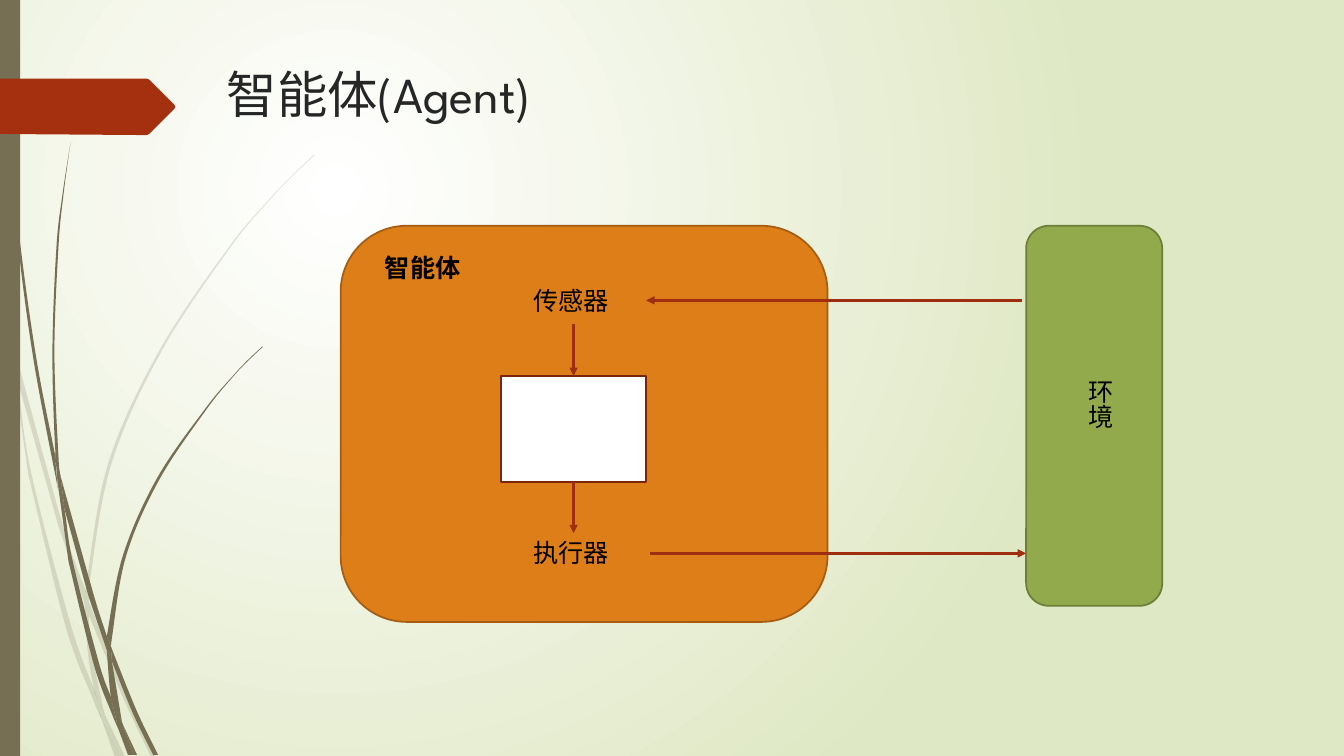
from lxml.etree import SubElement
from pptx import Presentation
from pptx.dml.color import RGBColor
from pptx.enum.shapes import MSO_CONNECTOR as Connector, MSO_SHAPE as Shape
from pptx.enum.text import MSO_AUTO_SIZE as AutoSize, MSO_ANCHOR as Anchor
from pptx.oxml.ns import qn
from pptx.util import Cm, Pt

BLACK = RGBColor(0x00, 0x00, 0x00)
WHITE = RGBColor(0xFF, 0xFF, 0xFF)
INK = RGBColor(0x26, 0x26, 0x26)
PALE_GREEN = RGBColor(0xDF, 0xE8, 0xC4)
OLIVE = RGBColor(0x76, 0x6F, 0x54)
RED = RGBColor(0xA5, 0x30, 0x10)
ARROW_RED = RGBColor(0x9E, 0x2E, 0x0F)
DARK_RED = RGBColor(0x7A, 0x24, 0x0C)
ORANGE = RGBColor(0xDE, 0x7E, 0x18)
DARK_ORANGE = RGBColor(0xA4, 0x5D, 0x12)
GREEN = RGBColor(0x92, 0xAA, 0x4C)
DARK_GREEN = RGBColor(0x6C, 0x7E, 0x38)
FONT = "League Spartan"
CM_PER_INCH = 2.54

PALE_BLADES = [
    ([(0.11, 3.5), (0.09, 3.22), (0, 2.82)], [(0, 2.99), (0.1, 3.44)]),
    ([(0.58, 5.22), (0.84, 5.99)],
     [(0.85, 5.86), (0.62, 5.2), (0.14, 3.45)], [(0.17, 3.76), (0.58, 5.22)]),
    ([(0.92, 6.07), (0.88, 5.96)], [(0.88, 6.1), (1.23, 6.94), (1.5, 7.51)],
     [(1.55, 7.51), (1.27, 6.92), (0.92, 6.07)]),
    ([(1.19, 7.51), (1.24, 7.51)], [(1.05, 7.11)]),
    ([(0.93, 6.83), (0.7, 6.19), (0.31, 4.69), (0.17, 3.76), (0.11, 3.5)],
     [(0.28, 4.7), (0.65, 6.21), (0.92, 6.93), (1.01, 7.14)], [(0.99, 7.07)]),
    ([(0.84, 5.99), (0.87, 6.46), (0.93, 6.83), (0.96, 6.92), (1.05, 7.11)],
     [(1.03, 7.06), (0.91, 6.46), (0.88, 6.1), (0.88, 6.08)]),
    ([(0.88, 5.84), (1.1, 4.62), (1.6, 3.49), (2.29, 2.45), (2.68, 1.98), (2.9, 1.75),
      (3.12, 1.54)],
     [(3.12, 1.53), (2.89, 1.75), (2.68, 1.97), (2.28, 2.44), (1.58, 3.48), (1.07, 4.61),
      (0.85, 5.84), (0.85, 5.86)], [(0.88, 5.96), (0.88, 5.84)]),
    ([(1.01, 7.14), (1.14, 7.51)], [(1.19, 7.51)]),
    ([(0.88, 6.08), (0.88, 6.1), (0.88, 5.96)], [(0.85, 5.86), (0.84, 5.99)]),
    ([(0.96, 6.92), (0.93, 6.83)], [(0.99, 7.07), (1.01, 7.14), (1.19, 7.51)], [(1.05, 7.11)]),
]
DARK_BLADES = [
    ([(0.07, 1.1), (0.17, 2.33), (0.33, 3.55), (0.56, 4.77), (0.57, 4.81)],
     [(0.55, 4.57), (0.55, 4.53), (0.36, 3.55), (0.19, 2.32), (0.08, 1.09), (0.05, 0.48),
      (0.04, 0)], [(0.03, 0), (0.04, 0.48), (0.07, 1.1)]),
    ([(0.88, 5.92), (1.06, 6.45)], [(1.06, 6.33), (1.06, 6.31), (0.93, 5.9), (0.6, 4.72)],
     [(0.64, 5.05), (0.88, 5.92)]),
    ([(1.13, 6.49), (1.1, 6.41)], [(1.11, 6.56), (1.32, 7.08), (1.52, 7.49)],
     [(1.57, 7.49), (1.36, 7.06), (1.13, 6.49)]),
    ([(1.1, 6.91), (0.98, 6.57), (0.72, 5.56), (0.64, 5.05), (0.57, 4.77)],
     [(0.68, 5.57), (0.93, 6.59), (1.11, 7.08), (1.17, 7.22)], [(1.16, 7.17)]),
    ([(0.6, 4.72), (0.58, 4.53), (0.54, 3.49), (0.58, 2.45), (0.63, 1.93), (0.7, 1.41)],
     [(0.7, 1.41), (0.62, 1.93), (0.56, 2.45), (0.52, 3.49), (0.55, 4.49), (0.6, 4.72)]),
    ([(1.33, 7.49), (1.36, 7.49)], [(1.22, 7.19)]),
    ([(0.57, 4.77), (0.64, 5.05)], [(0.6, 4.72), (0.55, 4.49)], [(0.55, 4.53)]),
    ([(1.11, 6.33), (1.25, 5.52), (1.58, 4.76), (2.05, 4.06), (2.31, 3.74), (2.45, 3.59),
      (2.61, 3.44)],
     [(2.6, 3.44), (2.45, 3.58), (2.31, 3.73), (2.04, 4.05), (1.56, 4.74), (1.22, 5.51),
      (1.06, 6.31)], [(1.1, 6.41)]),
    ([(1.17, 7.22), (1.27, 7.49)], [(1.31, 7.49)]),
    ([(1.06, 6.45), (1.1, 6.91), (1.16, 7.06), (1.22, 7.19)],
     [(1.21, 7.16), (1.11, 6.56), (1.09, 6.51)]),
    ([(1.06, 6.45), (1.09, 6.51), (1.11, 6.56)], [(1.1, 6.41), (1.06, 6.31)], [(1.06, 6.33)]),
    ([(1.16, 7.06), (1.1, 6.91)], [(1.16, 7.17), (1.17, 7.22), (1.3, 7.49)],
     [(1.33, 7.49), (1.22, 7.19)]),
]
TITLE_TAG = [[corner] for corner in (
    (1.73, 1.08), (1.48, 1.33), (1.46, 1.34), (1.36, 1.34), (0, 1.33), (0, 0.78),
    (1.36, 0.78), (1.46, 0.78), (1.48, 0.79), (1.73, 1.04), (1.74, 1.06))]
SIDE_BAR = (0, 0, 0.2, 7.5)
TITLE = ("智能体(Agent)", (2.15, 0.58, 9.75, 1.4))
AGENT = (3.38, 2.24, 4.83, 3.93)
PROCESS = (4.97, 3.73, 1.44, 1.05)
ENVIRONMENT = (10.18, 2.24, 1.35, 3.77)
LABELS = [
    ("智能体", (3.72, 2.45, 1.23, 0.4), {"bold": True}),
    ("传感器", (5.19, 2.78, 1.59, 0.4), {}),
    ("执行器", (5.19, 5.28, 1.59, 0.4), {}),
    ("环境", (10.61, 3.66, 0.5, 0.89), {"vertical": True}),
]
PROCESS_X = PROCESS[0] + PROCESS[2] / 2
SENSOR_ARROW = ((PROCESS_X, 3.21), (PROCESS_X, 3.73))
ACTUATOR_ARROW = ((PROCESS_X, 4.78), (PROCESS_X, 5.29))
PERCEPTION_ARROW = ((10.14, 2.98), (6.41, 2.98))
ACTION_ARROW = ((6.45, 5.49), (10.18, 5.49))


def length(inches):
    return Cm(inches * CM_PER_INCH)


def paint(shape, fill, line=None):
    shape.shadow.inherit = False
    shape.fill.solid()
    shape.fill.fore_color.rgb = fill
    if line is None:
        shape.line.fill.background()
    else:
        shape.line.color.rgb = line
        shape.line.width = Pt(1.25)
    return shape


def add_box(slide, preset, place, fill, line=None):
    return paint(slide.shapes.add_shape(preset, *map(length, place)), fill, line)


def bend_edges(shape, edges):
    nodes = [point.getparent() for point in shape._element.spPr.iter(qn("a:pt"))]
    points = [(int(node[0].get("x")), int(node[0].get("y"))) for node in nodes]
    first = 0
    for edge in edges:
        last = first + len(edge) - 1
        for index in range(first + 1, last + 1):
            before, start = points[max(index - 2, first)], points[index - 1]
            end, after = points[index], points[min(index + 1, last)]
            leaving = [s + (e - b) / 6 for b, s, e in zip(before, start, end)]
            arriving = [e - (a - s) / 6 for s, e, a in zip(start, end, after)]
            node = nodes[index]
            node.tag = qn("a:cubicBezTo")
            for place, (x, y) in enumerate((leaving, arriving)):
                control = SubElement(node, qn("a:pt"), x=str(round(x)), y=str(round(y)))
                node.insert(place, control)
        first = last + 1


def add_outline(slide, edges, fill, alpha=None):
    corners = [(length(x), length(y)) for edge in edges for x, y in edge]
    builder = slide.shapes.build_freeform(*corners[0])
    builder.add_line_segments(corners[1:], close=True)
    shape = paint(builder.convert_to_shape(), fill)
    bend_edges(shape, edges)
    if alpha:
        color = next(shape._element.spPr.iter(qn("a:srgbClr")))
        SubElement(color, qn("a:alpha"), val=str(alpha * 1000))


def add_text(slide, text, place, size=18, color=BLACK, bold=False, vertical=False, grow=True):
    frame = slide.shapes.add_textbox(*map(length, place)).text_frame
    frame.word_wrap = True
    frame.auto_size = AutoSize.SHAPE_TO_FIT_TEXT if grow else AutoSize.NONE
    frame.vertical_anchor = Anchor.TOP
    if vertical:
        frame._txBody.bodyPr.set("vert", "eaVert")
    run = frame.paragraphs[0].add_run()
    run.text = text
    run.font.name = FONT
    run.font.size = Pt(size)
    run.font.bold = bold
    run.font.color.rgb = color


def add_arrow(slide, start, end):
    arrow = slide.shapes.add_connector(Connector.STRAIGHT, *map(length, (*start, *end)))
    arrow.line.color.rgb = ARROW_RED
    arrow.line.width = Pt(2)
    SubElement(arrow.line._get_or_add_ln(), qn("a:tailEnd"), type="triangle")
    SubElement(arrow._element.spPr, qn("a:effectLst"))
    return arrow


def paint_background(slide):
    fill = slide.background.fill
    fill.gradient()
    for stop, position, color in zip(fill.gradient_stops, (0, 1), (WHITE, PALE_GREEN)):
        stop.position = position
        stop.color.rgb = color
    linear = next(slide._element.iter(qn("a:lin")))
    gradient = linear.getparent()
    gradient.remove(linear)
    circle = SubElement(gradient, qn("a:path"), path="circle")
    SubElement(circle, qn("a:fillToRect"), l="50000", t="50000", r="100000", b="100000")


def main():
    presentation = Presentation()
    presentation.slide_width, presentation.slide_height = length(13.333), length(7.5)
    slide = presentation.slides.add_slide(presentation.slide_layouts[6])
    paint_background(slide)
    for blades, alpha in ((PALE_BLADES, 20), (DARK_BLADES, None)):
        for edges in blades:
            add_outline(slide, edges, OLIVE, alpha)
    add_box(slide, Shape.RECTANGLE, SIDE_BAR, OLIVE)
    add_outline(slide, TITLE_TAG, RED)
    add_text(slide, *TITLE, size=36, color=INK, grow=False)
    add_box(slide, Shape.ROUNDED_RECTANGLE, AGENT, ORANGE, DARK_ORANGE)
    process = add_box(slide, Shape.RECTANGLE, PROCESS, WHITE, DARK_RED)
    add_arrow(slide, *SENSOR_ARROW).end_connect(process, 0)
    add_arrow(slide, *ACTUATOR_ARROW).begin_connect(process, 2)
    add_arrow(slide, *PERCEPTION_ARROW)
    add_arrow(slide, *ACTION_ARROW)
    add_box(slide, Shape.ROUNDED_RECTANGLE, ENVIRONMENT, GREEN, DARK_GREEN)
    for text, place, style in LABELS:
        add_text(slide, text, place, **style)
    presentation.save("out.pptx")


if __name__ == "__main__":
    main()
